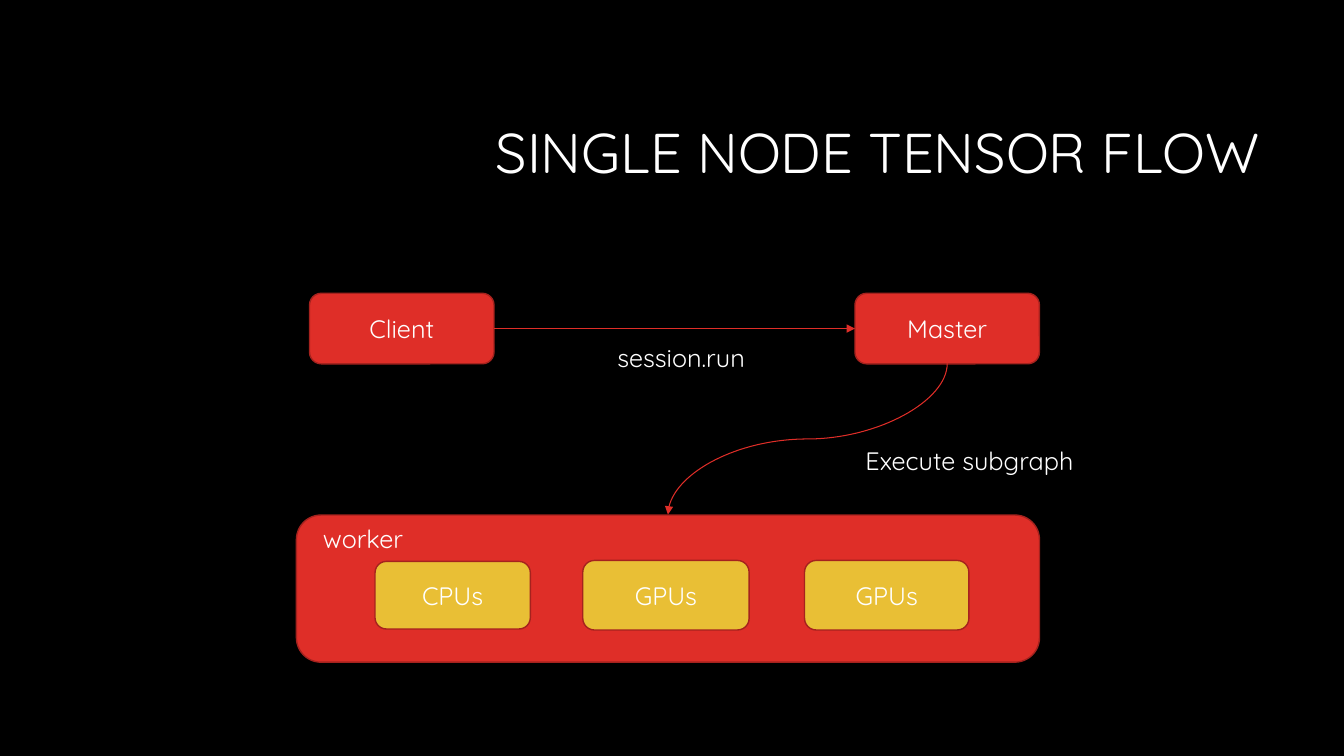
from lxml import etree
from pptx import Presentation
from pptx.dml.color import RGBColor
from pptx.enum.shapes import MSO_CONNECTOR, MSO_SHAPE
from pptx.enum.text import MSO_ANCHOR, MSO_AUTO_SIZE, PP_ALIGN
from pptx.oxml.ns import qn
from pptx.util import Pt

ROUNDED = MSO_SHAPE.ROUNDED_RECTANGLE
STRAIGHT, CURVE = MSO_CONNECTOR.STRAIGHT, MSO_CONNECTOR.CURVE
MIDDLE, TOP = MSO_ANCHOR.MIDDLE, MSO_ANCHOR.TOP
CENTER, RIGHT = PP_ALIGN.CENTER, PP_ALIGN.RIGHT
FIT_SHAPE, NO_FIT = MSO_AUTO_SIZE.SHAPE_TO_FIT_TEXT, MSO_AUTO_SIZE.NONE

PX = 9144  # 100 px to the inch
QUARTER_TURN = 5400000
RIGHT_SITE, LEFT_SITE = 3, 1
COLORS = {
    "background": "000000",
    "text": "FFFFFF",
    "node": "DF2E28",
    "device": "E9BF35",
    "outline": "A5221E",
}


def color(name):
    return RGBColor.from_string(COLORS[name])


class Diagram:
    font = "Quicksand"

    def __init__(self, page):
        self.page = page
        page.background.fill.solid()
        page.background.fill.fore_color.rgb = color("background")

    def add_text(self, shape, text, size=18, align=CENTER, anchor=MIDDLE):
        frame = shape.text_frame
        frame.vertical_anchor = anchor
        para = frame.paragraphs[0]
        para.alignment = align
        span = para.add_run()
        span.text = text
        span.font.name = self.font
        span.font.size = Pt(size)
        span.font.color.rgb = color("text")
        return para

    def title(self, text, left, top, width, height):
        shape = self.page.shapes.title
        shape.left, shape.top = left * PX, top * PX
        shape.width, shape.height = width * PX, height * PX
        para = self.add_text(shape, text, size=40, align=RIGHT)
        para.line_spacing = 0.9
        shape.text_frame.auto_size = NO_FIT

    def node(self, left, top, width, height, text=None, fill="node"):
        shape = self.page.shapes.add_shape(
            ROUNDED, left * PX, top * PX, width * PX, height * PX)
        shape.shadow.inherit = False
        shape.fill.solid()
        shape.fill.fore_color.rgb = color(fill)
        shape.line.color.rgb = color("outline")
        shape.line.width = Pt(1)
        if text:
            self.add_text(shape, text)
        return shape

    def label(self, text, left, top, width, height=40):
        box = self.page.shapes.add_textbox(
            left * PX, top * PX, width * PX, height * PX)
        box.text_frame.word_wrap = False
        box.text_frame.auto_size = FIT_SHAPE
        self.add_text(box, text, anchor=TOP)

    def arrow(self, kind, x1, y1, x2, y2):
        line = self.page.shapes.add_connector(
            kind, x1 * PX, y1 * PX, x2 * PX, y2 * PX)
        line.line.color.rgb = color("node")
        line.line.width = Pt(0.75)
        properties = line._element.spPr.find(qn("a:ln"))
        etree.SubElement(properties, qn("a:tailEnd"), type="triangle")
        etree.SubElement(line._element.spPr, qn("a:effectLst"))
        return line

    def link_across(self, source, target):
        """Straight arrow from the right side of source to the left of target."""
        line = self.arrow(STRAIGHT, 0, 0, 0, 0)
        line.begin_connect(source, RIGHT_SITE)
        line.end_connect(target, LEFT_SITE)

    def curve_down(self, x1, y1, x2, y2):
        """Curve that goes down and left, laid out as a box turned by 90 degrees."""
        width, height = y2 - y1, x1 - x2
        left = (x1 + x2 - width) // 2
        top = (y1 + y2 - height) // 2
        line = self.arrow(CURVE, left, top, left + width, top + height)
        line._element.spPr.find(qn("a:xfrm")).set("rot", str(QUARTER_TURN))


def main():
    deck = Presentation()
    deck.slide_width, deck.slide_height = 1333 * PX, 750 * PX
    diagram = Diagram(deck.slides.add_slide(deck.slide_layouts[5]))
    diagram.title("SINGLE NODE TENSOR FLOW", 317, 84, 942, 141)

    # Client and master
    client, master = [
        diagram.node(left, 291, 183, 70, name)
        for name, left in (("Client", 307), ("Master", 848))]

    # Worker with its devices
    diagram.node(294, 511, 737, 146)
    for name, left, top, width, height in (
            ("CPUs", 372, 557, 154, 67),
            ("GPUs", 578, 556, 165, 69),
            ("GPUs", 798, 556, 163, 69)):
        diagram.node(left, top, width, height, name, fill="device")
    diagram.label("worker", 309, 514, 102)

    # Calls between the parts
    diagram.link_across(client, master)
    diagram.curve_down(940, 361, 663, 511)
    diagram.label("session.run", 600, 335, 151)
    diagram.label("Execute subgraph", 840, 437, 243)

    deck.save("out.pptx")


if __name__ == "__main__":
    main()
